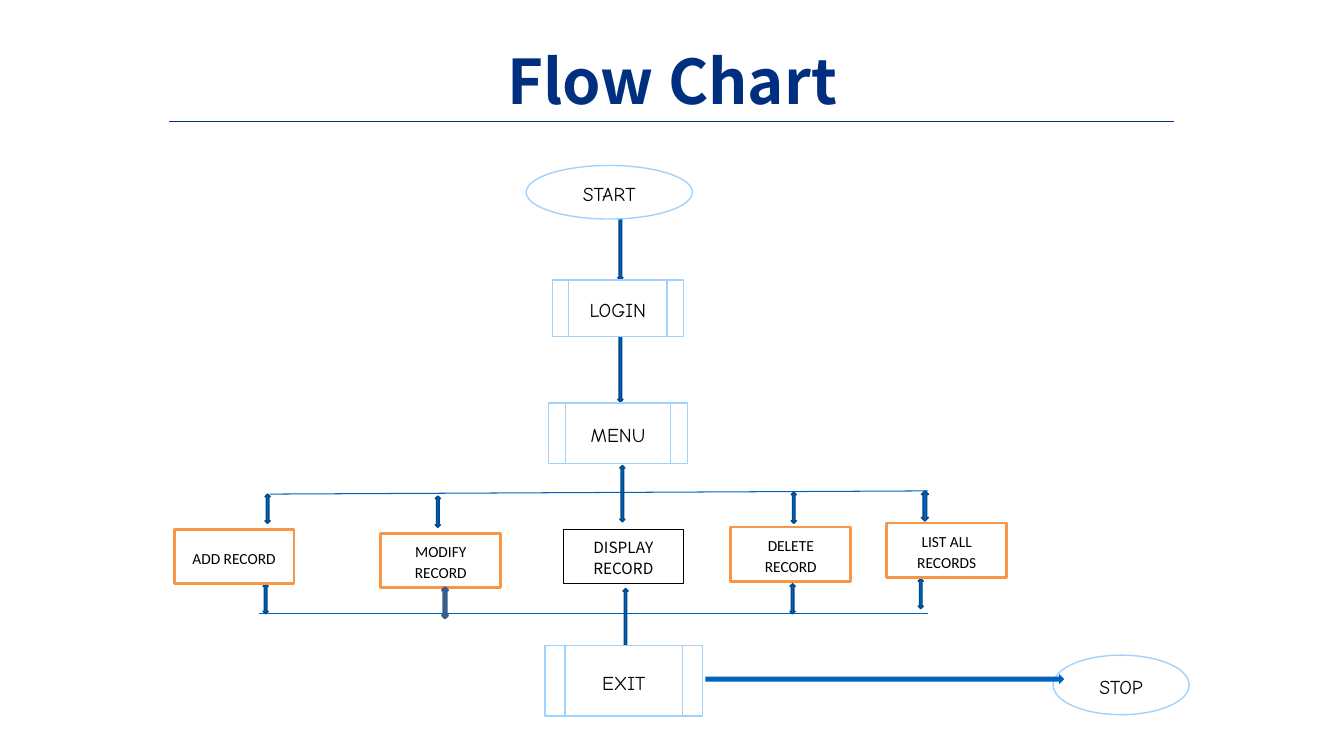
"""Build the record management flow chart slide."""
from lxml import etree
from pptx import Presentation
from pptx.dml.color import RGBColor
from pptx.enum.shapes import MSO_CONNECTOR, MSO_SHAPE
from pptx.enum.text import MSO_ANCHOR, PP_ALIGN
from pptx.oxml.ns import qn
from pptx.util import Cm, Pt

STRAIGHT = MSO_CONNECTOR.STRAIGHT
OVAL, RECT = MSO_SHAPE.OVAL, MSO_SHAPE.RECTANGLE
PROCESS = MSO_SHAPE.FLOWCHART_PREDEFINED_PROCESS
DOWN, RIGHT = MSO_SHAPE.DOWN_ARROW, MSO_SHAPE.RIGHT_ARROW
UP_DOWN = MSO_SHAPE.UP_DOWN_ARROW
CENTER, MIDDLE = PP_ALIGN.CENTER, MSO_ANCHOR.MIDDLE

NAVY, BLUE, DARK_BLUE, PALE_BLUE = "002F7F", "0063BE", "00488A", "9FD2FF"
ORANGE, BLACK, WHITE = "F79646", "000000", "FFFFFF"
SANS, BODY, COMIC = "Noto Sans CJK SC", "Calibri", "Comic Neue"


def rgb(color):
    return RGBColor.from_string(color)


def add_box(kind, x, y, w, h, fill, line, line_width):
    sp = s.shapes.add_shape(kind, Cm(x), Cm(y), Cm(w), Cm(h))
    sp.shadow.inherit = False
    sp.fill.solid()
    sp.fill.fore_color.rgb = rgb(fill)
    if line:
        sp.line.color.rgb = rgb(line)
        sp.line.width = Pt(line_width)
    else:
        sp.line.fill.background()
    return sp


prs = Presentation()
prs.slide_width, prs.slide_height = Cm(33.87), Cm(19.05)
s = prs.slides.add_slide(prs.slide_layouts[5])

title = s.shapes.title
title.left, title.top = Cm(2.34), Cm(0.3)
title.width, title.height = Cm(29.21), Cm(3.68)
tf = title.text_frame
tf.text = "Flow Chart"
tf.vertical_anchor = MIDDLE
p = tf.paragraphs[0]
p.alignment, p.line_spacing = CENTER, 0.9
p.font.name, p.font.size, p.font.bold = SANS, Pt(44), True
p.font.color.rgb = rgb(NAVY)

rules = [
    (4.27, 3.05, 29.59, 3.05, NAVY),
    (6.81, 12.45, 23.39, 12.37, BLUE),
    (6.53, 15.47, 23.39, 15.47, BLUE),
]
for x1, y1, x2, y2, color in rules:
    rule = s.shapes.add_connector(STRAIGHT, Cm(x1), Cm(y1), Cm(x2), Cm(y2))
    rule.line.color.rgb = rgb(color)
    rule.line.width = Pt(0.75)
    etree.SubElement(rule._element.spPr, qn("a:effectLst"))

arrows = [
    (DOWN, 15.57, 5.49, 0.13, 1.57),
    (DOWN, 15.57, 8.48, 0.13, 1.65),
    (UP_DOWN, 6.68, 12.45, 0.13, 0.74),
    (UP_DOWN, 10.97, 12.5, 0.13, 0.79),
    (UP_DOWN, 15.62, 11.73, 0.13, 1.42),
    (UP_DOWN, 19.94, 12.4, 0.13, 0.79),
    (UP_DOWN, 23.22, 12.37, 0.18, 0.76),
    (UP_DOWN, 6.63, 14.71, 0.13, 0.76),
    (UP_DOWN, 15.7, 14.83, 0.13, 1.55),
    (UP_DOWN, 19.91, 14.71, 0.13, 0.76),
    (UP_DOWN, 23.14, 14.58, 0.13, 0.76),
]
steps = [
    ("START", OVAL, 13.26, 4.17, 4.19, 1.35),
    ("LOGIN", PROCESS, 13.92, 7.06, 3.3, 1.42),
    ("MENU", PROCESS, 13.82, 10.16, 3.51, 1.52),
    ("EXIT", PROCESS, 13.74, 16.26, 3.96, 1.78),
    ("STOP", OVAL, 26.54, 16.51, 3.43, 1.5),
]
records = [
    ("ADD RECORD", 4.39, 13.34, ORANGE, 2, BODY),
    ("MODIFY RECORD", 9.6, 13.44, ORANGE, 2, BODY),
    ("DISPLAY RECORD", 14.2, 13.34, BLACK, 1, SANS),
    ("DELETE RECORD", 18.42, 13.28, ORANGE, 2, BODY),
    ("LIST ALL RECORDS", 22.35, 13.18, ORANGE, 2, BODY),
]
nodes = [(text, RECT, x, y, 3.02, 1.37, line, width, font, 11)
         for text, x, y, line, width, font in records]
nodes += [(*step, PALE_BLUE, 1, COMIC, 14) for step in steps]

for kind, x, y, w, h in arrows:
    add_box(kind, x, y, w, h, BLUE, DARK_BLUE, 1)

for text, kind, x, y, w, h, line, width, font, size in nodes:
    sp = add_box(kind, x, y, w, h, WHITE, line, width)
    tf = sp.text_frame
    tf.text = text
    tf.word_wrap, tf.vertical_anchor = True, MIDDLE
    p = tf.paragraphs[0]
    p.alignment, p.line_spacing = CENTER, 1.15
    p.font.name, p.font.size = font, Pt(size)
    p.font.color.rgb = rgb(BLACK)

add_box(UP_DOWN, 11.15, 14.81, 0.13, 0.76, "4F81BD", "395E89", 2)
add_box(RIGHT, 17.78, 16.99, 9.04, 0.25, BLUE, None, 0)

prs.save("out.pptx")
